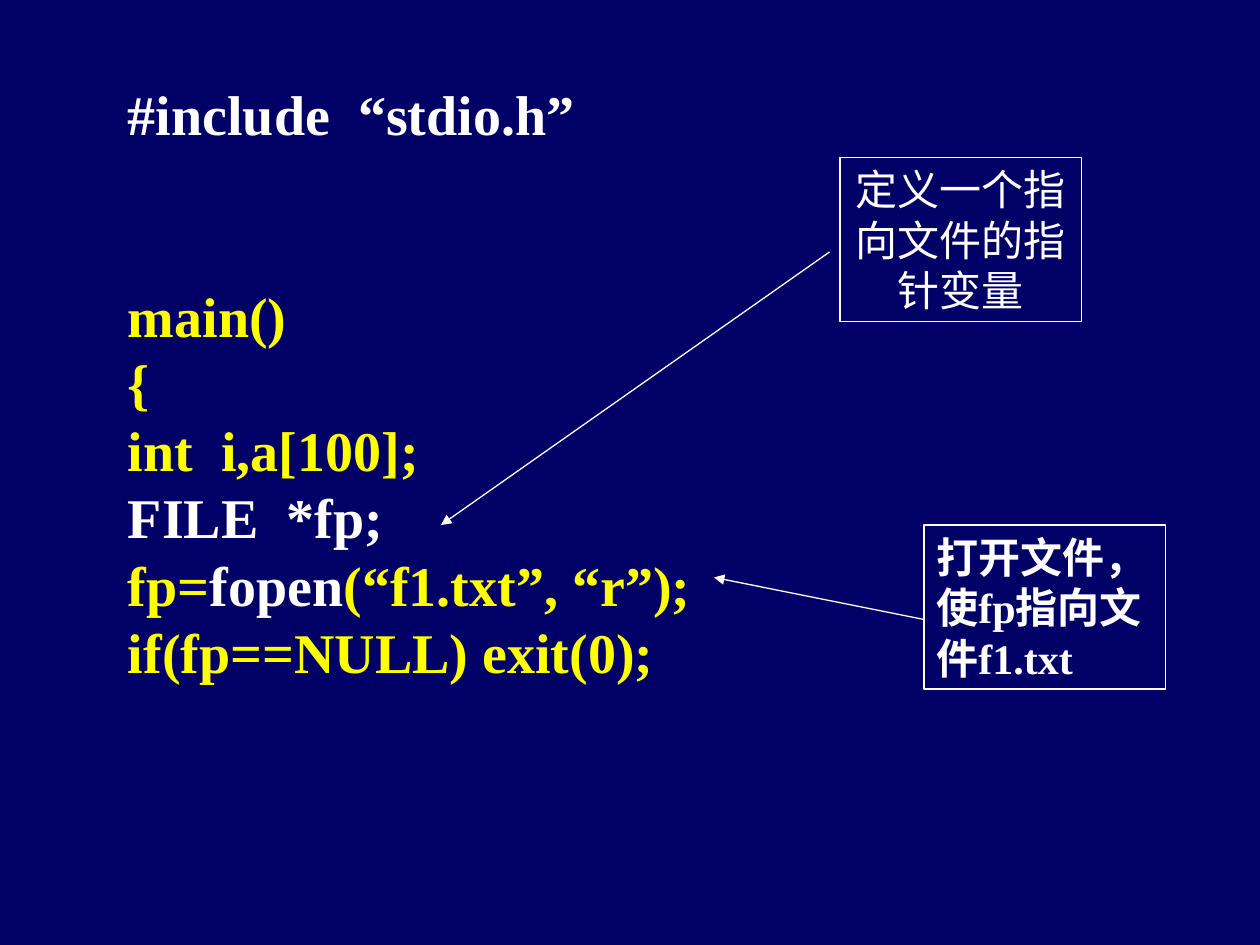
from dataclasses import dataclass

from lxml import etree
from pptx import Presentation
from pptx import util as u
from pptx.dml.color import RGBColor
from pptx.enum import shapes, text
from pptx.oxml.ns import qn

EMU_PER_PX = 9525


@dataclass(frozen=True)
class Theme:
    background: RGBColor = RGBColor(0x00, 0x00, 0x66)
    white: RGBColor = RGBColor(0xFF, 0xFF, 0xFF)
    yellow: RGBColor = RGBColor(0xFF, 0xFF, 0x00)
    font: str = "Times New Roman"
    code_size: int = 32
    note_size: int = 24
    code_pitch: float = 38.4
    line_width: float = 0.75


@dataclass(frozen=True)
class Box:
    left: int
    top: int
    width: int
    height: int


@dataclass(frozen=True)
class CodeLine:
    runs: tuple[tuple[str, RGBColor], ...]
    lines_before: int = 0


@dataclass(frozen=True)
class Note:
    box: Box
    words: str
    bold: bool
    align: text.PP_ALIGN
    arrow_start: tuple[int, int]
    arrow_end: tuple[int, int]


THEME = Theme()
WHITE, YELLOW = THEME.white, THEME.yellow

CODE_BOX = Box(88, 56, 784, 522)
CODE = (
    CodeLine((("#include  “stdio.h”", WHITE),)),
    CodeLine((("main()", YELLOW),), lines_before=2),
    CodeLine((("{", YELLOW),)),
    CodeLine((("int  i,a[100];", YELLOW),)),
    CodeLine((("FILE  *fp;", WHITE),)),
    CodeLine((("fp=", YELLOW), ("fopen", WHITE), ("(“f1.txt”, “r”);", YELLOW))),
    CodeLine((("if(fp==NULL) exit(0);", YELLOW),)),
)
NOTES = (
    Note(Box(640, 120, 184, 125), "定义一个指向文件的指针变量", False,
         text.PP_ALIGN.CENTER, (632, 192), (336, 400)),
    Note(Box(704, 400, 184, 125), "打开文件，使fp指向文件f1.txt", True,
         text.PP_ALIGN.LEFT, (704, 472), (544, 440)),
)


def px(length: int) -> u.Emu:
    return u.Emu(length * EMU_PER_PX)


def place(box: Box) -> tuple[u.Emu, ...]:
    return px(box.left), px(box.top), px(box.width), px(box.height)


def add_run(paragraph, words: str, size: int, color: RGBColor, bold: bool) -> None:
    run = paragraph.add_run()
    run.text = words
    run.font.name = THEME.font
    run.font.size = u.Pt(size)
    run.font.bold = bold
    run.font.color.rgb = color


def add_code(slide, box: Box, lines: tuple[CodeLine, ...]) -> None:
    frame = slide.shapes.add_textbox(*place(box)).text_frame
    frame.word_wrap = True
    for index, line in enumerate(lines):
        paragraph = frame.add_paragraph() if index else frame.paragraphs[0]
        paragraph.alignment = text.PP_ALIGN.JUSTIFY
        paragraph.line_spacing = u.Pt(THEME.code_pitch)
        paragraph.space_before = u.Pt(line.lines_before * THEME.code_pitch)
        for words, color in line.runs:
            add_run(paragraph, words, THEME.code_size, color, True)


def add_note_box(slide, note: Note) -> None:
    shape = slide.shapes.add_shape(shapes.MSO_SHAPE.RECTANGLE, *place(note.box))
    shape.shadow.inherit = False
    shape.fill.solid()
    shape.fill.fore_color.rgb = THEME.background
    shape.line.color.rgb = WHITE
    shape.line.width = u.Pt(THEME.line_width)
    frame = shape.text_frame
    frame.word_wrap = True
    frame.vertical_anchor = text.MSO_ANCHOR.TOP
    paragraph = frame.paragraphs[0]
    paragraph.alignment = note.align
    add_run(paragraph, note.words, THEME.note_size, WHITE, note.bold)


def add_arrow(slide, start: tuple[int, int], end: tuple[int, int]) -> None:
    arrow = slide.shapes.add_connector(
        shapes.MSO_CONNECTOR.STRAIGHT, *map(px, start + end))
    arrow.line.color.rgb = WHITE
    arrow.line.width = u.Pt(THEME.line_width)
    # Arrowhead at the end, no shadow
    etree.SubElement(arrow.line._get_or_add_ln(), qn("a:tailEnd"), type="triangle")
    etree.SubElement(arrow._element.spPr, qn("a:effectLst"))


def main() -> None:
    presentation = Presentation()
    presentation.slide_width, presentation.slide_height = px(960), px(720)
    slide = presentation.slides.add_slide(presentation.slide_layouts[6])
    slide.background.fill.solid()
    slide.background.fill.fore_color.rgb = THEME.background

    # Program listing
    add_code(slide, CODE_BOX, CODE)

    # Explanations with arrows to the code
    for note in NOTES:
        add_note_box(slide, note)
        add_arrow(slide, note.arrow_start, note.arrow_end)

    presentation.save("out.pptx")


if __name__ == "__main__":
    main()
